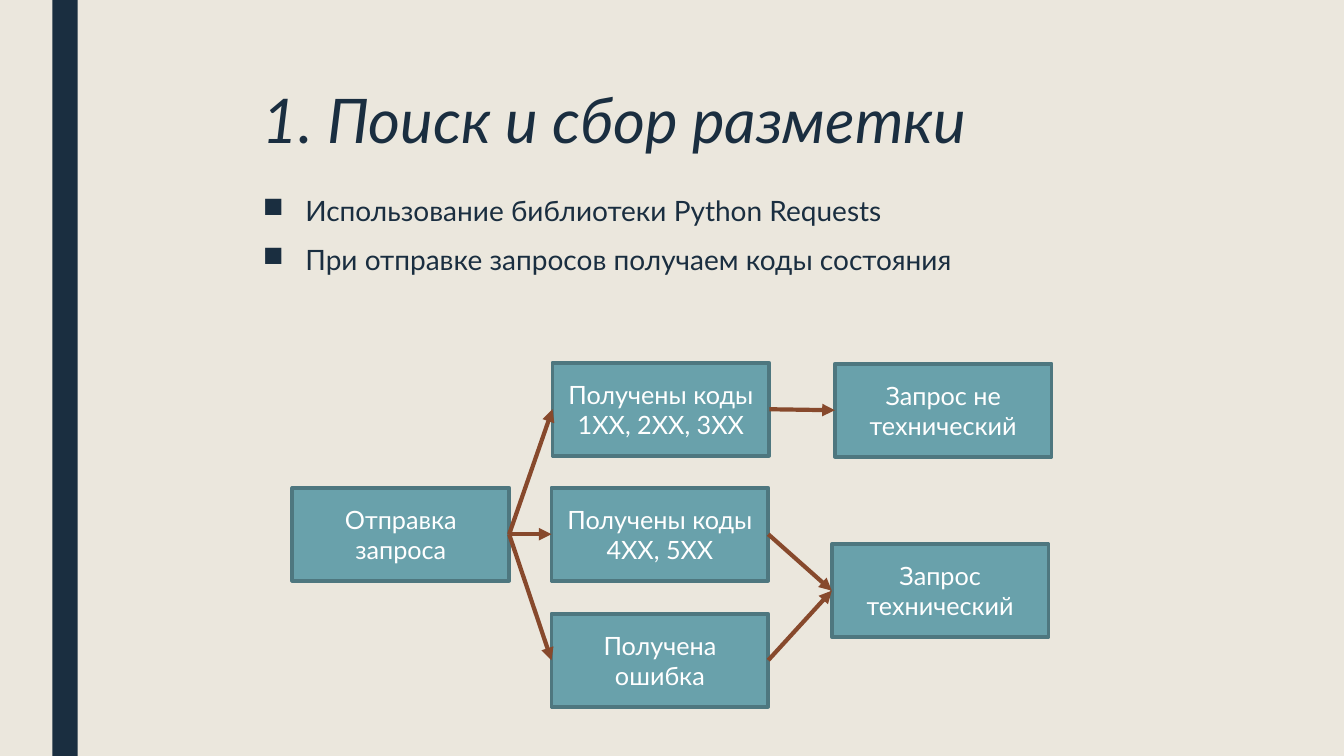
from pptx import Presentation
from pptx.dml.color import RGBColor
from pptx.enum.shapes import MSO_CONNECTOR as CONN, MSO_SHAPE as SHAPE
from pptx.enum.text import MSO_ANCHOR as ANCHOR, PP_ALIGN as ALIGN
from pptx.oxml.ns import qn
from pptx.util import Inches, Pt
from lxml.etree import SubElement

COLORS = {"background": "EBE7DD", "navy": "1A2E40", "box": "69A1AB",
          "border": "4E777F", "arrow": "87492C", "white": "FFFFFF"}
BOX_W, BOX_H = 2.15, 0.92
LEFT_SIDE, RIGHT_SIDE = 1, 3


def rgb(name):
    return RGBColor.from_string(COLORS[name])


def add_run(p, text, size, color, italic=False):
    r = p.add_run()
    r.text = text
    r.font.name = "Lato"
    r.font.size = Pt(size)
    r.font.italic = italic
    r.font.color.rgb = rgb(color)


prs = Presentation()
prs.slide_width, prs.slide_height = Inches(13.33), Inches(7.5)
s = prs.slides.add_slide(prs.slide_layouts[6])
s.background.fill.solid()
s.background.fill.fore_color.rgb = rgb("background")

stripe = s.shapes.add_shape(SHAPE.RECTANGLE, Inches(0.52), 0, Inches(0.25), prs.slide_height)
stripe.shadow.inherit = False
stripe.fill.solid()
stripe.fill.fore_color.rgb = rgb("navy")
stripe.line.fill.background()

title = s.shapes.add_textbox(Inches(2.51), Inches(0.85), Inches(10.5), Inches(1.0))
tf = title.text_frame
tf.word_wrap = True
p = tf.paragraphs[0]
p.line_spacing = 0.89
add_run(p, "1. Поиск и сбор разметки", 44, "navy", italic=True)

body = s.shapes.add_textbox(Inches(2.51), Inches(1.9), Inches(9.49), Inches(1.25))
tf = body.text_frame
tf.word_wrap = True
bullets = ["Использование библиотеки Python Requests",
           "При отправке запросов получаем коды состояния"]
for i, text in enumerate(bullets):
    p = tf.add_paragraph() if i else tf.paragraphs[0]
    p.line_spacing = 0.94
    p.space_before, p.space_after = Pt(10), Pt(2)
    pPr = p._p.get_or_add_pPr()
    pPr.set("marL", str(Inches(0.42)))
    pPr.set("indent", str(-Inches(0.42)))
    SubElement(pPr, qn("a:buChar")).set("char", "■")
    add_run(p, text, 20, "navy")

steps = {
    "request": (2.9, 4.84, "Отправка запроса"),
    "success": (5.48, 3.6, "Получены коды 1XX, 2XX, 3XX"),
    "failure": (5.47, 4.84, "Получены коды 4XX, 5XX"),
    "error": (5.47, 6.09, "Получена ошибка"),
    "not_technical": (8.28, 3.61, "Запрос не технический"),
    "technical": (8.25, 5.4, "Запрос технический"),
}
boxes = {}
for name, (x, y, text) in steps.items():
    sp = s.shapes.add_shape(SHAPE.RECTANGLE, Inches(x), Inches(y), Inches(BOX_W), Inches(BOX_H))
    sp.shadow.inherit = False
    sp.fill.solid()
    sp.fill.fore_color.rgb = rgb("box")
    sp.line.color.rgb = rgb("border")
    sp.line.width = Pt(2.75)
    tf = sp.text_frame
    tf.word_wrap = True
    tf.vertical_anchor = ANCHOR.MIDDLE
    p = tf.paragraphs[0]
    p.alignment = ALIGN.CENTER
    add_run(p, text, 18, "white")
    boxes[name] = sp

flows = [("request", "error"), ("request", "failure"), ("request", "success"),
         ("success", "not_technical"), ("failure", "technical"), ("error", "technical")]
for start, end in flows:
    arrow = s.shapes.add_connector(CONN.STRAIGHT, 0, 0, 0, 0)
    arrow.begin_connect(boxes[start], RIGHT_SIDE)
    arrow.end_connect(boxes[end], LEFT_SIDE)
    arrow.line.color.rgb = rgb("arrow")
    arrow.line.width = Pt(3)
    SubElement(arrow.line._get_or_add_ln(), qn("a:tailEnd")).set("type", "triangle")
    SubElement(arrow._element.spPr, qn("a:effectLst"))

prs.save("out.pptx")
